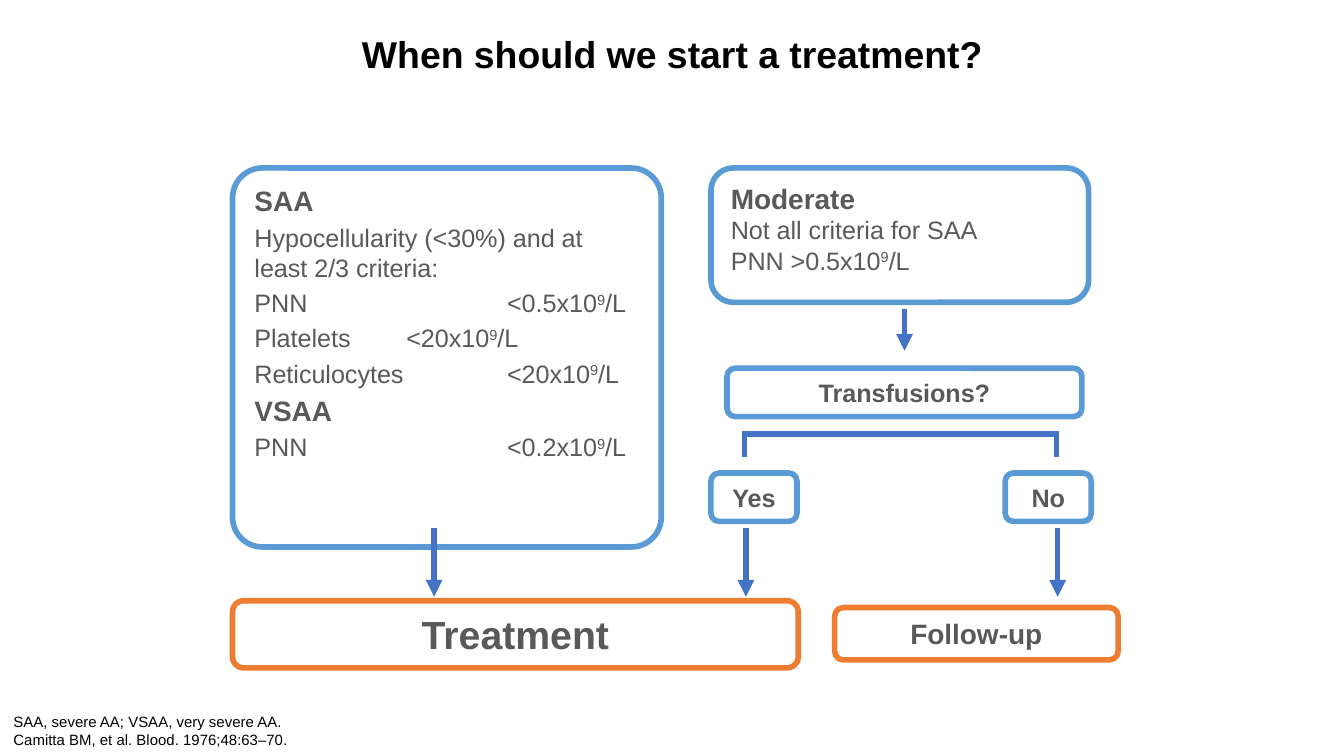
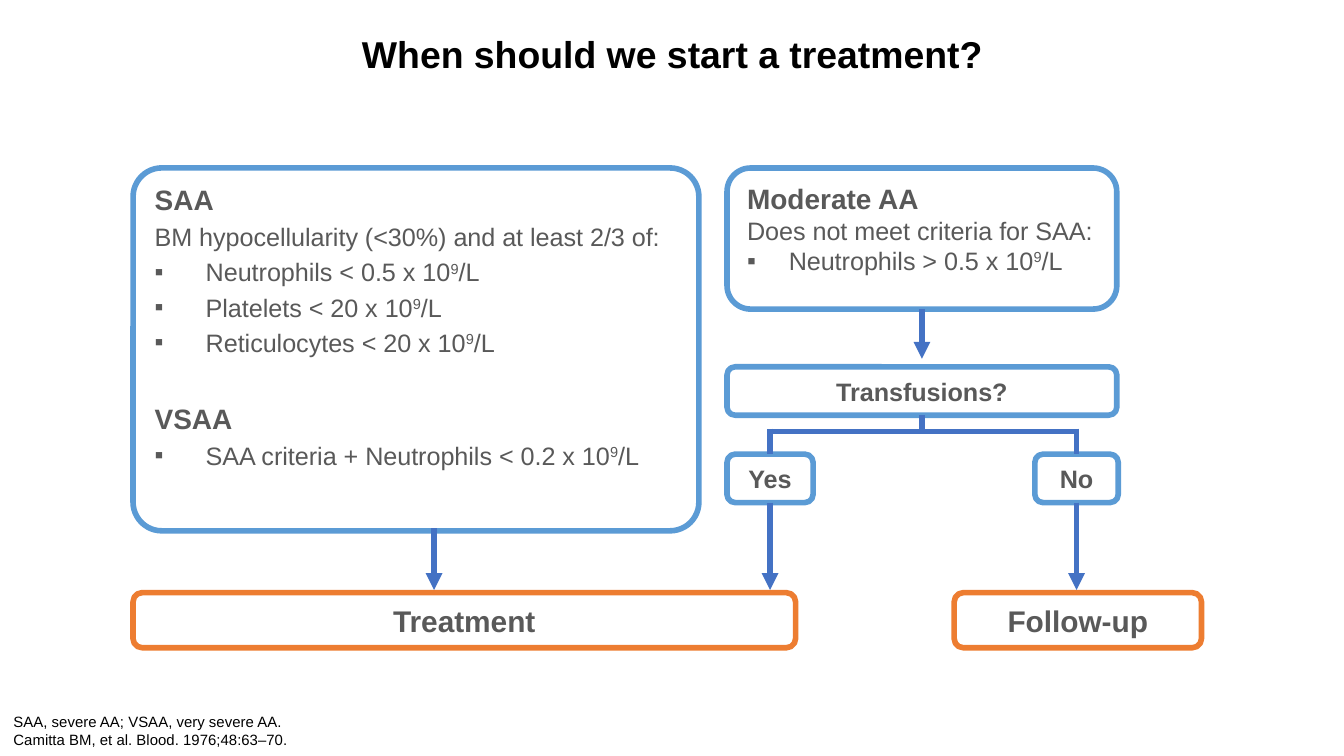
from lxml import etree
from pptx import Presentation
from pptx import util as u
from pptx.dml.color import RGBColor
from pptx.enum import shapes, text
from pptx.oxml.ns import qn

COLORS = {"criteria": "5B9BD5", "outcome": "ED7D31", "arrow": "4472C4",
          "text": "595959", "black": "000000"}
FONT = "Arial"
COLUMNS, ROWS = 10, 10 * 9 / 16  # a 16:9 slide in one-inch units
WIDTH, HEIGHT = u.Inches(COLUMNS), u.Inches(ROWS)
TOP, BOTTOM = 0, 2  # connection sites of a box

# Shared content
TITLE = "When should we start a treatment?"
TITLE_AREA = (0.47, 0.09, 9.07, 0.53)
FOOTNOTE = ["SAA, severe AA; VSAA, very severe AA.",
            "Camitta BM, et al. Blood. 1976;48:63–70."]
FOOTNOTE_AREA = (0, 5.25, 6.3, 0.37)

# Text panels: name, area, corner, space before, [(style, text)]; ^9 is raised
# Labels: text, area, size, colour
# Lines: start, end, arrowhead; an end is a point or a (label, side) pair
SLIDES = [
    {
        "panels": [
            ("SAA", (1.73, 1.25, 3.19, 2.82), 0.079, 2.7, [
                ("heading", "SAA"),
                ("plain", "Hypocellularity (<30%) and at \nleast 2/3 criteria:"),
                ("value", "PNN \t\t<0.5x10^9/L"),
                ("value", "Platelets \t<20x10^9/L"),
                ("value", "Reticulocytes \t<20x10^9/L"),
                ("heading", "VSAA"),
                ("value", "PNN \t\t<0.2x10^9/L"),
            ]),
            ("Moderate", (5.29, 1.25, 2.81, 1), 0.167, 0, [
                ("heading", "Moderate"),
                ("plain", "Not all criteria for SAA"),
                ("plain", "PNN >0.5x10^9/L"),
            ]),
        ],
        "labels": [
            ("Transfusions?", (5.41, 2.74, 2.64, 0.36), 13.5, "criteria"),
            ("Yes", (5.29, 3.52, 0.64, 0.36), 13.5, "criteria"),
            ("No", (7.48, 3.52, 0.64, 0.36), 13.5, "criteria"),
            ("Treatment", (1.73, 4.47, 4.21, 0.5), 21, "outcome"),
            ("Follow-up", (6.21, 4.52, 2.11, 0.39), 15, "outcome"),
        ],
        "lines": [
            ((6.73, 2.3), (6.73, 2.61), True),
            ((5.54, 3.23), (7.86, 3.23), False),
            ((5.54, 3.21), (5.54, 3.4), False),
            ((7.86, 3.21), (7.86, 3.4), False),
            ((3.23, 3.93), (3.23, 4.44), True),
            ((5.55, 3.93), (5.55, 4.44), True),
            ((7.87, 3.93), (7.87, 4.44), True),
        ],
    },
    {
        "panels": [
            ("SAA", (0.99, 1.25, 4.21, 2.7), 0.079, 2.7, [
                ("heading", "SAA"),
                ("plain", "BM hypocellularity (<30%) and at least 2/3 of:"),
                ("bullet", "Neutrophils < 0.5 x 10^9/L"),
                ("bullet", "Platelets < 20 x 10^9/L"),
                ("bullet", "Reticulocytes < 20 x 10^9/L"),
                ("section", "VSAA"),
                ("bullet", "SAA criteria + Neutrophils < 0.2 x 10^9/L"),
            ]),
            ("Moderate AA", (5.41, 1.25, 2.9, 1.05), 0.167, 0, [
                ("heading", "Moderate AA"),
                ("plain", "Does not meet criteria for SAA:"),
                ("short bullet", "Neutrophils > 0.5 x 10^9/L"),
            ]),
        ],
        "labels": [
            ("Transfusions?", (5.41, 2.73, 2.9, 0.36), 13.5, "criteria"),
            ("Yes", (5.41, 3.38, 0.64, 0.36), 13.5, "criteria"),
            ("No", (7.7, 3.38, 0.62, 0.36), 13.5, "criteria"),
            ("Treatment", (0.99, 4.41, 4.93, 0.41), 16, "outcome"),
            ("Follow-up", (7.1, 4.41, 1.84, 0.41), 16, "outcome"),
        ],
        "lines": [
            (("Moderate AA", BOTTOM), (6.86, 2.67), True),
            (("Transfusions?", BOTTOM), (6.86, 3.21), False),
            ((5.73, 3.21), (8.01, 3.21), False),
            ((5.73, 3.19), ("Yes", TOP), False),
            ((8.01, 3.19), ("No", TOP), False),
            ((3.23, 3.93), (3.23, 4.39), True),
            (("Yes", BOTTOM), (5.73, 4.39), True),
            (("No", BOTTOM), (8.01, 4.39), True),
        ],
    },
]

# Hanging indent in inches for each paragraph style
INDENTS = {"value": 0.38, "bullet": 0.38, "short bullet": 0.31}
SECTION_GAP = 23.5


def across(columns):
    return round(WIDTH * columns / COLUMNS)


def down(rows):
    return round(HEIGHT * rows / ROWS)


def place(area):
    left, top, width, height = area
    return across(left), down(top), across(width), down(height)


def format_font(font, size, color, bold=False):
    font.name, font.size, font.bold = FONT, u.Pt(size), bold
    font.color.rgb = RGBColor.from_string(COLORS[color])


def fill_placeholder(shape, area, lines, size, bold, alignment, spacing):
    shape.left, shape.top, shape.width, shape.height = place(area)
    frame = shape.text_frame
    frame.text = "\n".join(lines)
    frame.auto_size = text.MSO_AUTO_SIZE.NONE
    frame.vertical_anchor = text.MSO_ANCHOR.BOTTOM
    for paragraph in frame.paragraphs:
        paragraph.alignment = alignment
        paragraph.line_spacing = spacing
        paragraph.space_before = u.Pt(0)
        properties = paragraph._p.get_or_add_pPr()
        properties.set("marL", "0")
        properties.set("indent", "0")
        etree.SubElement(properties, qn("a:buNone"))
        for run in paragraph.runs:
            format_font(run.font, size, "black", bold)


def add_box(slide, area, color, corner=0.167):
    box = slide.shapes.add_shape(shapes.MSO_SHAPE.ROUNDED_RECTANGLE, *place(area))
    box.adjustments[0] = corner
    box.shadow.inherit = False
    box.fill.background()
    box.line.color.rgb = RGBColor.from_string(COLORS[color])
    box.line.width = u.Pt(3)
    box.text_frame.word_wrap = True
    return box


def add_panel(slide, area, corner, space, lines):
    box = add_box(slide, area, "criteria", corner)
    frame = box.text_frame
    frame.vertical_anchor = text.MSO_ANCHOR.TOP
    for index, (style, line) in enumerate(lines):
        paragraph = frame.paragraphs[0] if index == 0 else frame.add_paragraph()
        paragraph.alignment = text.PP_ALIGN.LEFT
        paragraph.space_before = u.Pt(SECTION_GAP if style == "section" else space)
        properties = paragraph._p.get_or_add_pPr()
        properties.set("defTabSz", str(u.Inches(0.75)))
        if style in INDENTS:
            indent = u.Inches(INDENTS[style])
            properties.set("marL", str(indent))
            properties.set("indent", str(-indent))
        if style.endswith("bullet"):
            etree.SubElement(properties, qn("a:buFont")).set("typeface", FONT)
            etree.SubElement(properties, qn("a:buChar")).set("char", "▪")
        base, power, unit = line.partition("^9")
        paragraph.text = base
        if power:
            raised = paragraph.add_run()
            raised.text = power[1:]
            raised.font._element.set("baseline", "30000")
            paragraph.add_run().text = unit
        heading = style in ("heading", "section")
        for run in paragraph.runs:
            format_font(run.font, 15 if heading else 13.5, "text", heading)
    return box


def add_label(slide, label, area, size, color):
    box = add_box(slide, area, color)
    frame = box.text_frame
    frame.text = label
    frame.vertical_anchor = text.MSO_ANCHOR.MIDDLE
    paragraph = frame.paragraphs[0]
    paragraph.alignment = text.PP_ALIGN.CENTER
    format_font(paragraph.runs[0].font, size, "text", True)
    return box


def add_line(slide, boxes, start, end, arrowhead):
    def point(spot):
        return (0, 0) if spot[0] in boxes else (across(spot[0]), down(spot[1]))

    line = slide.shapes.add_connector(
        shapes.MSO_CONNECTOR.STRAIGHT, *point(start), *point(end))
    for spot, connect in ((start, line.begin_connect), (end, line.end_connect)):
        if spot[0] in boxes:
            connect(boxes[spot[0]], spot[1])
    line.line.color.rgb = RGBColor.from_string(COLORS["arrow"])
    line.line.width = u.Pt(3)
    if arrowhead:
        etree.SubElement(line.line._get_or_add_ln(), qn("a:tailEnd")).set("type", "triangle")
    etree.SubElement(line._element.spPr, qn("a:effectLst"))


def build_slide(presentation, content):
    slide = presentation.slides.add_slide(presentation.slide_layouts[1])
    fill_placeholder(slide.shapes.title, TITLE_AREA, [TITLE], 20, True,
                     text.PP_ALIGN.CENTER, 0.9)
    fill_placeholder(slide.placeholders[1], FOOTNOTE_AREA, FOOTNOTE, 8, False,
                     text.PP_ALIGN.LEFT, 1.0)
    # Boxes first, so the lines can join them
    boxes = {}
    for name, *panel in content["panels"]:
        boxes[name] = add_panel(slide, *panel)
    for label in content["labels"]:
        boxes[label[0]] = add_label(slide, *label)
    for line in content["lines"]:
        add_line(slide, boxes, *line)


def main():
    presentation = Presentation()
    presentation.slide_width, presentation.slide_height = WIDTH, HEIGHT
    for content in SLIDES:
        build_slide(presentation, content)
    presentation.save("out.pptx")


if __name__ == "__main__":
    main()
